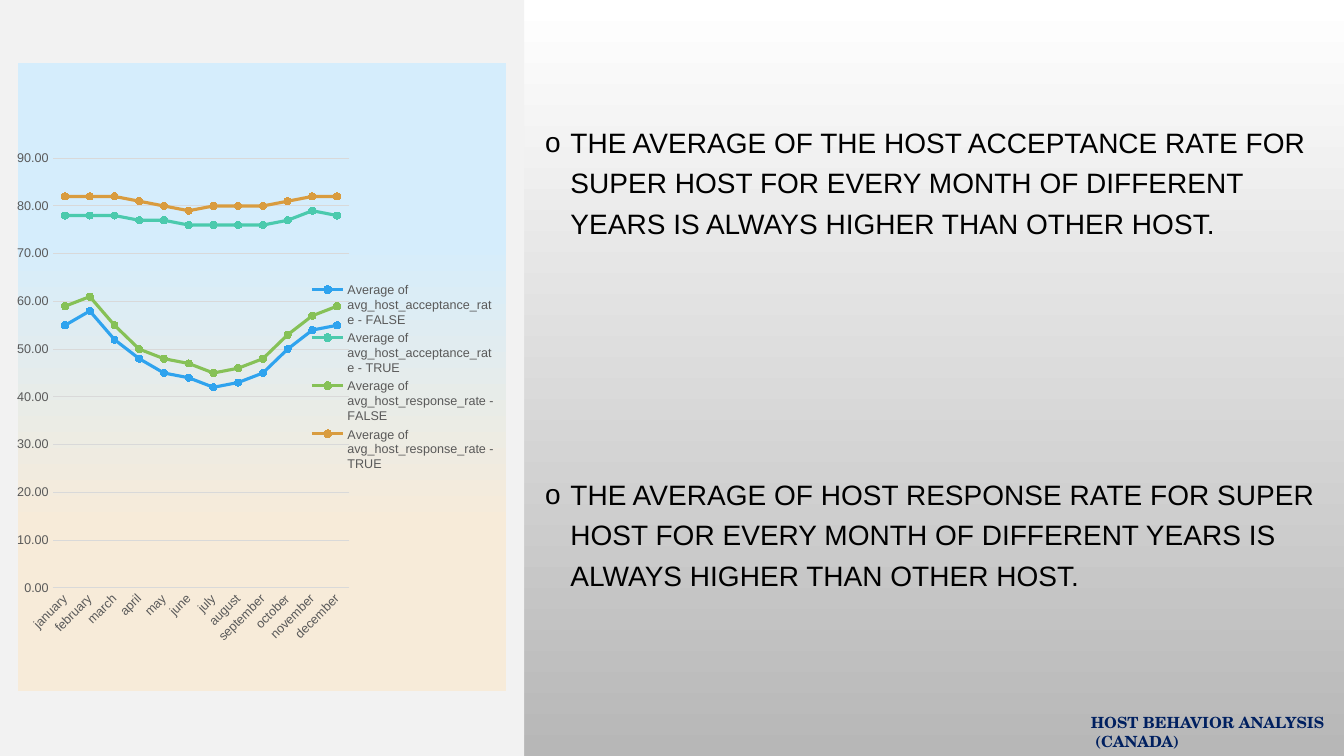
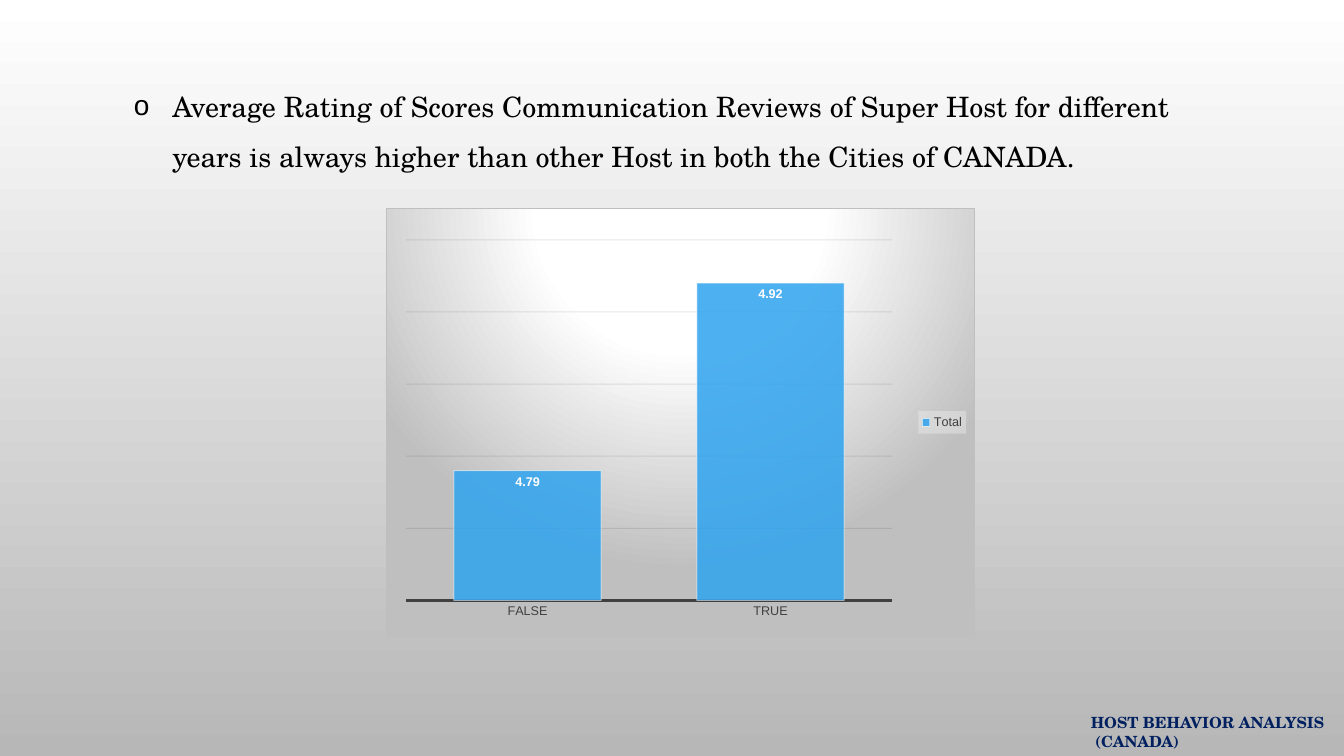
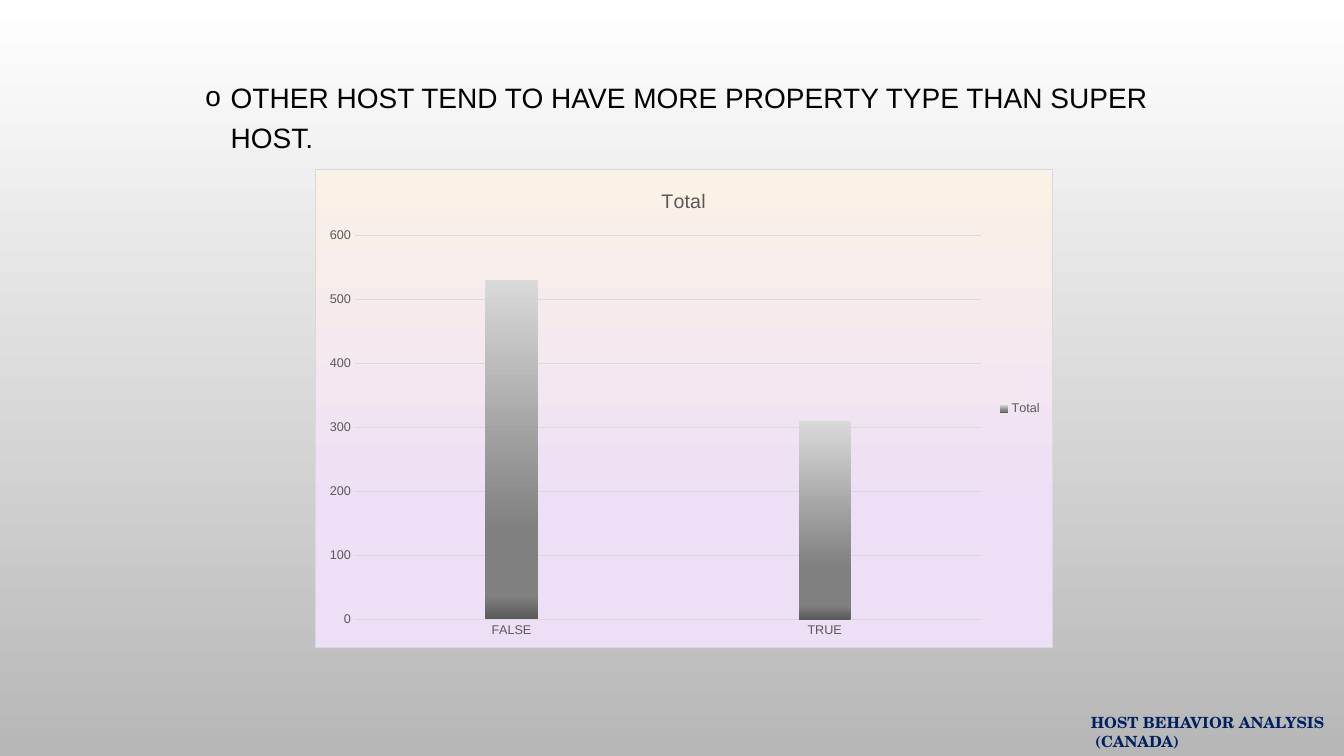
from lxml import etree
from pptx import Presentation, util as u
from pptx.chart.data import CategoryChartData
from pptx.dml import color as dml
from pptx.enum import chart as charts, shapes
from pptx.oxml import parse_xml
from pptx.oxml.ns import nsdecls, qn

colour = dml.RGBColor.from_string
SANS, SERIF = "Arial", "TeX Gyre Schola"
BLACK, NAVY, GREY, LIGHT = "000000", "002060", "595959", "D9D9D9"
DOWNWARD = '<a:lin ang="5400000" scaled="0"/>'
FROM_TOP = ('<a:path path="circle"><a:fillToRect l="50000" t="-80000" '
            'r="50000" b="180000"/></a:path>')

presentation = Presentation()
presentation.slide_width, presentation.slide_height = u.Inches(13.33), u.Inches(7.5)


def place(left, top, width, height):
    """Turn percentages of the slide's size into lengths."""
    across, down = presentation.slide_width / 100, presentation.slide_height / 100
    return int(left * across), int(top * down), int(width * across), int(height * down)


def gradient(stops, direction):
    """Build the XML of a gradient from (percent, hex) stops."""
    marks = "".join(f'<a:gs pos="{percent * 1000}"><a:srgbClr val="{value}"/></a:gs>'
                    for percent, value in stops)
    return (f'<a:gradFill {nsdecls("a")} rotWithShape="1"><a:gsLst>{marks}</a:gsLst>'
            f'{direction}</a:gradFill>')


# Shared background
background = presentation.slide_master.background.fill
background.gradient()
background.gradient_angle = 270
for stop, value in zip(background.gradient_stops, ("FFFFFF", "B7B7B7")):
    stop.color.rgb = colour(value)

# Content of the three slides
MONTHS = ["january", "february", "march", "april", "may", "june", "july",
          "august", "september", "october", "november", "december"]
LINE, COLUMN = charts.XL_CHART_TYPE.LINE_MARKERS, charts.XL_CHART_TYPE.COLUMN_CLUSTERED

pages = [
    dict(
        bullets=["THE AVERAGE OF THE HOST ACCEPTANCE RATE FOR SUPER HOST FOR EVERY MONTH "
                 "OF DIFFERENT YEARS IS ALWAYS HIGHER THAN OTHER HOST.",
                 "THE AVERAGE OF HOST RESPONSE RATE FOR SUPER HOST FOR EVERY MONTH "
                 "OF DIFFERENT YEARS IS ALWAYS HIGHER THAN OTHER HOST."],
        text_at=(39.83, 15.07, 60.17, 66.67), font=SANS, spacing=1.2, indent=0.25,
        panel_at=(0, 0, 39, 100),
        type=LINE, chart_at=(1.28, 8.4, 36.38, 83.07), categories=MONTHS,
        series={
            "Average of avg_host_acceptance_rate - FALSE":
                ("2FA3EE", [55, 58, 52, 48, 45, 44, 42, 43, 45, 50, 54, 55]),
            "Average of avg_host_acceptance_rate - TRUE":
                ("4BCAAD", [78, 78, 78, 77, 77, 76, 76, 76, 76, 77, 79, 78]),
            "Average of avg_host_response_rate - FALSE":
                ("86C157", [59, 61, 55, 50, 48, 47, 45, 46, 48, 53, 57, 59]),
            "Average of avg_host_response_rate - TRUE":
                ("D99C3F", [82, 82, 82, 81, 80, 79, 80, 80, 80, 81, 82, 82])},
        scale=(0, 90, 10), format="0.00", plot=(0.071, 0.151, 0.608, 0.684),
        area=([(28, "D5EDFC"), (74, "F7EBD9"), (100, "F7EBD9")], DOWNWARD), border=None,
        ink=GREY, axis=(LIGHT, 0.75), grid=LIGHT),
    dict(
        bullets=["Average Rating of Scores Communication Reviews of Super Host for different "
                 "years is always higher than other Host in both the Cities of CANADA."],
        text_at=(9.23, 8.93, 82.82, 14.13), font=SERIF, spacing=1.5, indent=0.38,
        type=COLUMN, chart_at=(28.73, 27.47, 43.81, 56.8), categories=["FALSE", "TRUE"],
        series={"Total": ("2FA3EE", [4.79, 4.92])},
        scale=(4.7, 4.95, 0.05), format="0.00", plot=(0.033, 0.074, 0.827, 0.842),
        area=([(0, "FFFFFF"), (39, "FFFFFF"), (100, "BFBFBF")], FROM_TOP), border="BFBFBF",
        ink="404040", axis=("404040", 1.5), grid="0D0D0D", gap=65, overlap=0, labels=True),
    dict(
        bullets=["OTHER HOST TEND TO HAVE MORE PROPERTY TYPE THAN SUPER HOST."],
        text_at=(14.55, 9.07, 74.49, 12), font=SANS, spacing=1.2, indent=0.25,
        type=COLUMN, chart_at=(23.41, 22.4, 54.91, 63.33), categories=["FALSE", "TRUE"],
        series={"Total": ("808080", [530, 310])},
        scale=(0, 600, 100), format="General", title="Total",
        area=([(0, "FAF2E6"), (74, "EDDFF6"), (100, "EDDFF6")], DOWNWARD), border=LIGHT,
        ink=GREY, axis=(LIGHT, 0.75), grid=LIGHT, gap=500, overlap=-23,
        bars=[(0, LIGHT), (74, "808080"), (93, "808080"), (100, GREY)]),
]

for page in pages:
    slide = presentation.slides.add_slide(presentation.slide_layouts[6])

    # Side panel
    if "panel_at" in page:
        panel = slide.shapes.add_shape(shapes.MSO_SHAPE.RECTANGLE, *place(*page["panel_at"]))
        panel.shadow.inherit = False
        panel.fill.solid()
        panel.fill.fore_color.rgb = colour("F2F2F2")
        panel.line.fill.background()

    # Bulleted findings
    frame = slide.shapes.add_textbox(*place(*page["text_at"])).text_frame
    frame.word_wrap = True
    for number, finding in enumerate(page["bullets"]):
        paragraph = frame.add_paragraph() if number else frame.paragraphs[0]
        paragraph.text = finding
        paragraph.line_spacing = page["spacing"]
        paragraph.space_before = u.Pt(165 if number else 0)
        properties = paragraph._p.get_or_add_pPr()
        properties.set("marL", str(u.Inches(page["indent"])))
        properties.set("indent", str(-u.Inches(page["indent"])))
        bullet_colour = etree.SubElement(properties, qn("a:buClr"))
        etree.SubElement(bullet_colour, qn("a:srgbClr"), val=BLACK)
        etree.SubElement(properties, qn("a:buFont"), typeface=SANS)
        etree.SubElement(properties, qn("a:buChar"), char="o")
        paragraph.font.size, paragraph.font.name = u.Pt(20), page["font"]
        paragraph.font.color.rgb = colour(BLACK)

    # Footer
    frame = slide.shapes.add_textbox(*place(80.42, 93.73, 19.58, 6.27)).text_frame
    frame.word_wrap = True
    frame.text = "HOST BEHAVIOR ANALYSIS\n (CANADA)"
    for paragraph in frame.paragraphs:
        paragraph.font.size, paragraph.font.name = u.Pt(11), SERIF
        paragraph.font.bold = True
        paragraph.font.color.rgb = colour(NAVY)

    # Chart and its data
    data = CategoryChartData(number_format=page["format"])
    data.categories = page["categories"]
    for name, (_, values) in page["series"].items():
        data.add_series(name, values)
    chart = slide.shapes.add_chart(page["type"], *place(*page["chart_at"]), data).chart
    chart.font.size, chart.font.name = u.Pt(10), SANS
    chart.has_title = "title" in page
    if chart.has_title:
        chart.chart_title.text_frame.text = page["title"]
        heading = chart.chart_title.text_frame.paragraphs[0]
        heading.font.size, heading.font.name = u.Pt(14), SANS
        heading.font.bold = False
        heading.font.color.rgb = colour(GREY)

    # Legend and axes
    chart.has_legend = True
    chart.legend.position = charts.XL_LEGEND_POSITION.RIGHT
    chart.legend.include_in_layout = False
    months, amounts = chart.category_axis, chart.value_axis
    for font in (chart.legend.font, months.tick_labels.font, amounts.tick_labels.font):
        font.size, font.name = u.Pt(9), SANS
        font.color.rgb = colour(page["ink"])
    for axis in (months, amounts):
        axis.major_tick_mark = axis.minor_tick_mark = charts.XL_TICK_MARK.NONE
    months.format.line.color.rgb = colour(page["axis"][0])
    months.format.line.width = u.Pt(page["axis"][1])
    amounts.minimum_scale, amounts.maximum_scale, amounts.major_unit = page["scale"]
    amounts.tick_labels.number_format = page["format"]
    amounts.tick_labels.number_format_is_linked = False
    amounts.format.line.fill.background()
    amounts.major_gridlines.format.line.color.rgb = colour(page["grid"])
    amounts.major_gridlines.format.line.width = u.Pt(0.75)

    # Series
    plot = chart.plots[0]
    plot.vary_by_categories = False
    if page["type"] == COLUMN:
        plot.gap_width, plot.overlap = page["gap"], page["overlap"]
    for series, (value, _) in zip(plot.series, page["series"].values()):
        if page["type"] == LINE:
            series.smooth = False
            series.format.line.color.rgb = colour(value)
            series.format.line.width = u.Pt(2.25)
            series.marker.style, series.marker.size = charts.XL_MARKER_STYLE.CIRCLE, 5
            series.marker.format.fill.solid()
            series.marker.format.fill.fore_color.rgb = colour(value)
            series.marker.format.line.color.rgb = colour(value)
        else:
            series.format.fill.solid()
            series.format.fill.fore_color.rgb = colour(value)

    # Chart area and place of the plot
    line = "<a:ln><a:noFill/></a:ln>"
    if page["border"]:
        line = (f'<a:ln w="9525"><a:solidFill><a:srgbClr val="{page["border"]}"/>'
                '</a:solidFill></a:ln>')
    chart.element.find(qn("c:chart")).addnext(parse_xml(
        f'<c:spPr {nsdecls("c", "a")}>{gradient(*page["area"])}{line}</c:spPr>'))
    if "plot" in page:
        plot_area = chart.element.xpath("c:chart/c:plotArea")[0]
        for layout in plot_area.findall(qn("c:layout")):
            plot_area.remove(layout)
        layout = etree.Element(qn("c:layout"))
        manual = etree.SubElement(layout, qn("c:manualLayout"))
        settings = [("layoutTarget", "inner"), ("xMode", "edge"), ("yMode", "edge")]
        for tag, setting in settings + list(zip("xywh", page["plot"])):
            etree.SubElement(manual, qn(f"c:{tag}"), val=str(setting))
        plot_area.insert(0, layout)

    # Slanted month names
    if page["type"] == LINE:
        chart.element.xpath(".//c:catAx/c:txPr/a:bodyPr")[0].set("rot", "-2700000")

    # Shaded columns
    if "bars" in page:
        solid = chart.element.xpath(".//c:ser/c:spPr/a:solidFill")[0]
        solid.getparent().replace(solid, parse_xml(gradient(page["bars"], DOWNWARD)))

    # Labelled, see-through columns without a value axis
    if "labels" in page:
        amounts.visible = False
        series = plot.series[0]
        series.format.line.color.rgb = colour("FFFFFF")
        series.format.line.width = u.Pt(0.75)
        labels = series.data_labels
        labels.show_value = True
        labels.position = charts.XL_LABEL_POSITION.INSIDE_END
        labels.number_format, labels.number_format_is_linked = page["format"], False
        labels.font.size, labels.font.name, labels.font.bold = u.Pt(9), SANS, True
        labels.font.color.rgb = colour("FFFFFF")
        chart.element.xpath(".//c:legend/c:overlay")[0].addnext(parse_xml(
            f'<c:spPr {nsdecls("c", "a")}><a:solidFill><a:srgbClr val="F2F2F2"/>'
            '</a:solidFill></c:spPr>'))
        opacities = {".//c:ser/c:spPr/a:solidFill/a:srgbClr": 85,
                     ".//c:ser/c:spPr/a:ln//a:srgbClr": 50,
                     ".//c:majorGridlines//a:srgbClr": 10,
                     ".//c:legend/c:spPr//a:srgbClr": 39}
        for query, percent in opacities.items():
            for element in chart.element.xpath(query):
                etree.SubElement(element, qn("a:alpha"), val=str(percent * 1000))

presentation.save("out.pptx")
